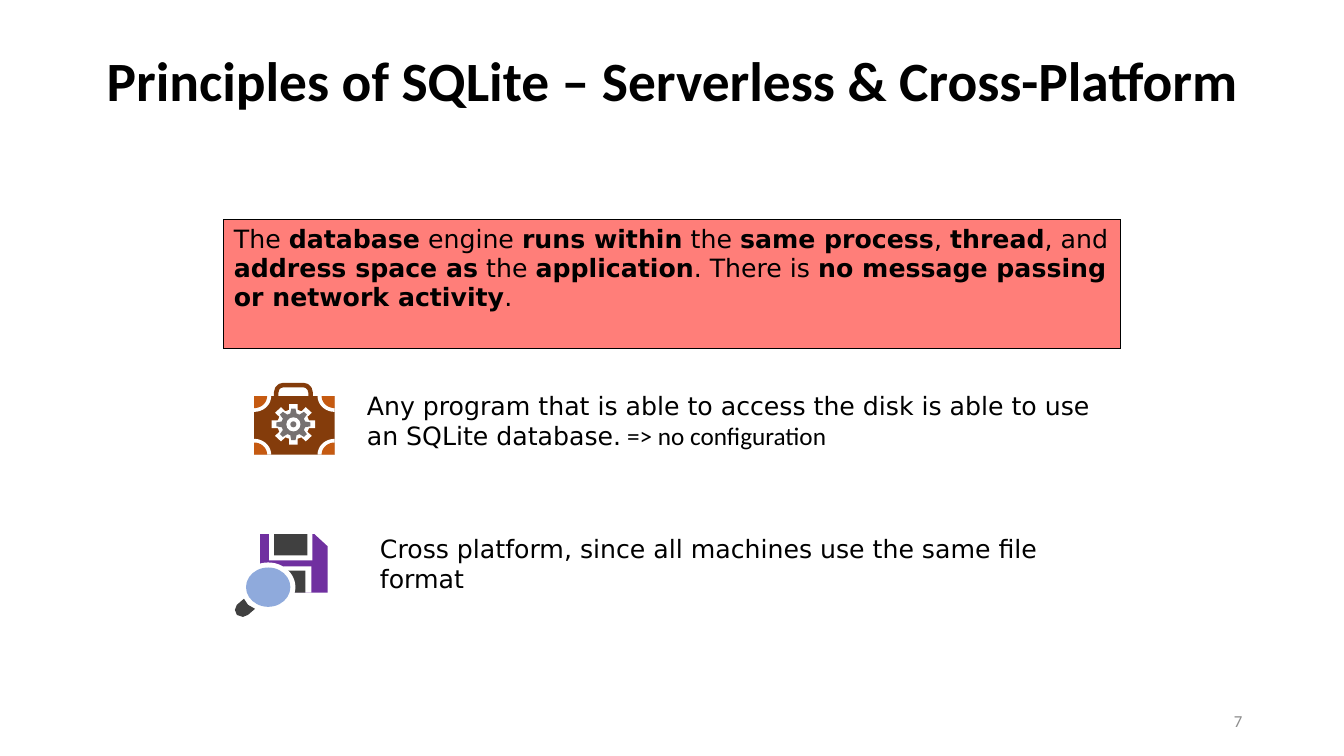
from math import cos, radians, sin

from lxml.etree import SubElement
from pptx import Presentation
from pptx.dml.color import RGBColor
from pptx.enum.shapes import MSO_SHAPE
from pptx.enum.text import MSO_ANCHOR, PP_ALIGN
from pptx.oxml.ns import qn
from pptx.util import Inches, Pt

BLACK = RGBColor(0x00, 0x00, 0x00)
WHITE = RGBColor(0xFF, 0xFF, 0xFF)
CORAL = RGBColor(0xFF, 0x7E, 0x79)
BROWN = RGBColor(0x84, 0x3C, 0x0B)
ORANGE = RGBColor(0xC5, 0x5A, 0x11)
GEAR_GRAY = RGBColor(0x76, 0x71, 0x71)
DARK_GRAY = RGBColor(0x40, 0x40, 0x40)
PURPLE = RGBColor(0x70, 0x30, 0xA0)
LENS_BLUE = RGBColor(0x8F, 0xAA, 0xDC)
NUMBER_GRAY = RGBColor(0x8C, 0x8C, 0x8C)


def add_text(text_frame, text, font="DejaVu Sans", size=18, color=BLACK,
             bold=False, align=PP_ALIGN.LEFT):
    """Append text to the first paragraph; ** switches bold on and off."""
    text_frame.word_wrap = True
    paragraph = text_frame.paragraphs[0]
    paragraph.alignment = align
    for index, part in enumerate(text.split("**")):
        run = paragraph.add_run()
        run.text = part
        run.font.name = font
        run.font.size = Pt(size)
        run.font.color.rgb = color
        run.font.bold = bold or index % 2 == 1


def add_part(group, outline, color, box=None):
    """Add a preset shape in a box, or a polygon when there is no box."""
    if box:
        shape = group.shapes.add_shape(outline, *[Inches(value) for value in box])
    else:
        points = [(Inches(x), Inches(y)) for x, y in outline]
        builder = group.shapes.build_freeform(*points[0])
        builder.add_line_segments(points[1:], close=True)
        shape = builder.convert_to_shape()
    shape.shadow.inherit = False
    shape.fill.solid()
    shape.fill.fore_color.rgb = color
    shape.line.fill.background()
    return shape


presentation = Presentation()
presentation.slide_width = Inches(13.33)
presentation.slide_height = Inches(7.5)
slide = presentation.slides.add_slide(presentation.slide_layouts[5])

# Title
title = slide.shapes.title
title.left, title.top = Inches(0.92), Inches(0.4)
title.width, title.height = Inches(11.5), Inches(1.45)
title.text_frame.vertical_anchor = MSO_ANCHOR.MIDDLE
title.text_frame.margin_bottom = Inches(0.65)
add_text(title.text_frame, "Principles of SQLite – Serverless & Cross-Platform",
         font="Calibri", size=39.6, bold=True, align=PP_ALIGN.CENTER)
title.text_frame.paragraphs[0].line_spacing = 0.9

# Serverless statement in a one-cell table
table = slide.shapes.add_table(1, 1, Inches(2.22), Inches(2.18),
                               Inches(8.89), Inches(1.28)).table
table.first_row = table.horz_banding = False
cell = table.cell(0, 0)
cell_properties = cell._tc.get_or_add_tcPr()
for side in ("a:lnL", "a:lnR", "a:lnT", "a:lnB"):
    border = SubElement(cell_properties, qn(side), w=str(Pt(1)))
    border_fill = SubElement(border, qn("a:solidFill"))
    SubElement(border_fill, qn("a:srgbClr"), val=str(BLACK))
cell.fill.solid()
cell.fill.fore_color.rgb = CORAL
add_text(cell.text_frame,
         "The **database** engine **runs within** the **same process**, **thread**, "
         "and **address space as** the **application**. There is "
         "**no message passing or network activity**.")

# Two points beside the icons
access_box = slide.shapes.add_textbox(Inches(3.54), Inches(3.82), Inches(7.55), Inches(0.71))
add_text(access_box.text_frame,
         "Any program that is able to access the disk is able to use an SQLite database.")
add_text(access_box.text_frame, " => no configuration", font="Calibri")
platform_box = slide.shapes.add_textbox(Inches(3.67), Inches(5.24), Inches(7.55), Inches(0.71))
add_text(platform_box.text_frame,
         "Cross platform, since all machines use the same file format")

# Toolbox icon: handle and body
toolbox = slide.shapes.add_group_shape()
handle = add_part(toolbox, MSO_SHAPE.ROUND_2_SAME_RECTANGLE, WHITE, (2.74, 3.82, 0.34, 0.16))
handle.adjustments[0] = 0.45
handle.line.color.rgb = BROWN
handle.line.width = Pt(3.2)
add_part(toolbox, MSO_SHAPE.RECTANGLE, BROWN, (2.52, 3.93, 0.8, 0.58))

# Toolbox corners: an orange quarter disc on a larger white one
for corner_x, x_sign in ((2.52, 1), (3.32, -1)):
    for corner_y, y_sign in ((3.93, 1), (4.51, -1)):
        for radius, color in ((0.17, WHITE), (0.13, ORANGE)):
            arc = [(corner_x + x_sign * radius * cos(radians(angle)),
                    corner_y + y_sign * radius * 0.92 * sin(radians(angle)))
                   for angle in range(0, 91, 10)]
            add_part(toolbox, [(corner_x, corner_y)] + arc, color)

# Toolbox gear with eight teeth, its white rim, hole and hub
GEAR_X, GEAR_Y = 2.91, 4.21
for root, tip, tip_angle, color in ((0.16, 0.22, 11, WHITE), (0.12, 0.17, 7, GEAR_GRAY)):
    gear = []
    for tooth in range(0, 360, 45):
        for offset, radius in ((-15, root), (-tip_angle, tip), (tip_angle, tip), (15, root)):
            angle = radians(tooth + offset)
            gear.append((GEAR_X + radius * cos(angle), GEAR_Y + radius * 0.93 * sin(angle)))
    add_part(toolbox, gear, color)
for radius, color in ((0.07, WHITE), (0.03, GEAR_GRAY)):
    add_part(toolbox, MSO_SHAPE.OVAL, color,
             (GEAR_X - radius, GEAR_Y - radius, 2 * radius, 2 * radius))

# Disk icon: body, shutter, label and magnifier
disk = slide.shapes.add_group_shape()
add_part(disk, [(2.58, 5.3), (3.12, 5.3), (3.25, 5.42), (3.25, 5.88), (2.58, 5.88)], PURPLE)
for preset, color, box in (
    (MSO_SHAPE.RECTANGLE, WHITE, (2.67, 5.3, 0.43, 0.26)),
    (MSO_SHAPE.RECTANGLE, DARK_GRAY, (2.72, 5.3, 0.33, 0.21)),
    (MSO_SHAPE.RECTANGLE, WHITE, (2.81, 5.62, 0.28, 0.26)),
    (MSO_SHAPE.RECTANGLE, DARK_GRAY, (2.81, 5.66, 0.22, 0.22)),
    (MSO_SHAPE.OVAL, WHITE, (2.39, 5.58, 0.54, 0.49)),
    (MSO_SHAPE.OVAL, LENS_BLUE, (2.44, 5.63, 0.44, 0.39)),
):
    add_part(disk, preset, color, box)
add_part(disk, [(2.42, 5.94), (2.35, 6), (2.33, 6.05), (2.35, 6.1), (2.41, 6.12),
                (2.46, 6.1), (2.53, 6.04), (2.46, 6)], DARK_GRAY)

# Slide number
number_box = slide.shapes.add_textbox(Inches(9.42), Inches(6.95), Inches(3), Inches(0.4))
number_box.text_frame.vertical_anchor = MSO_ANCHOR.MIDDLE
add_text(number_box.text_frame, "7", font="Calibri", size=12,
         color=NUMBER_GRAY, align=PP_ALIGN.RIGHT)

presentation.save("out.pptx")
